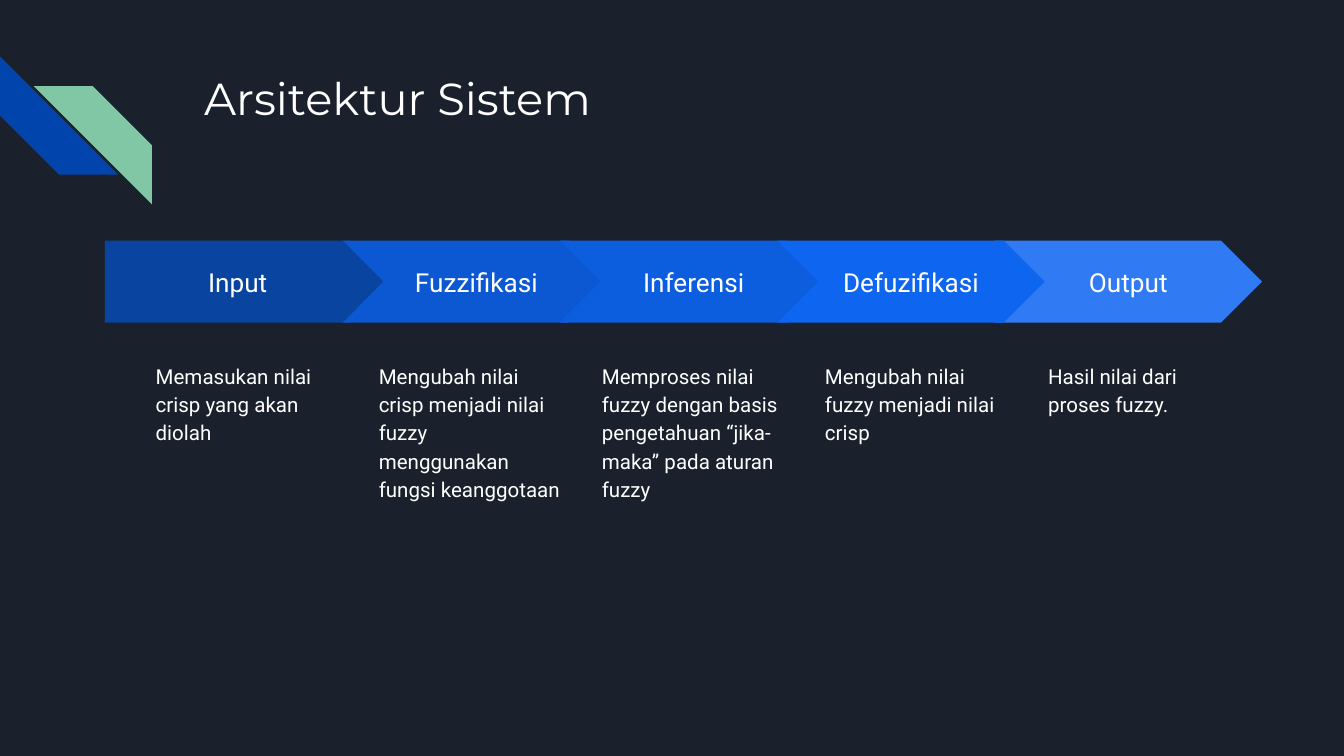
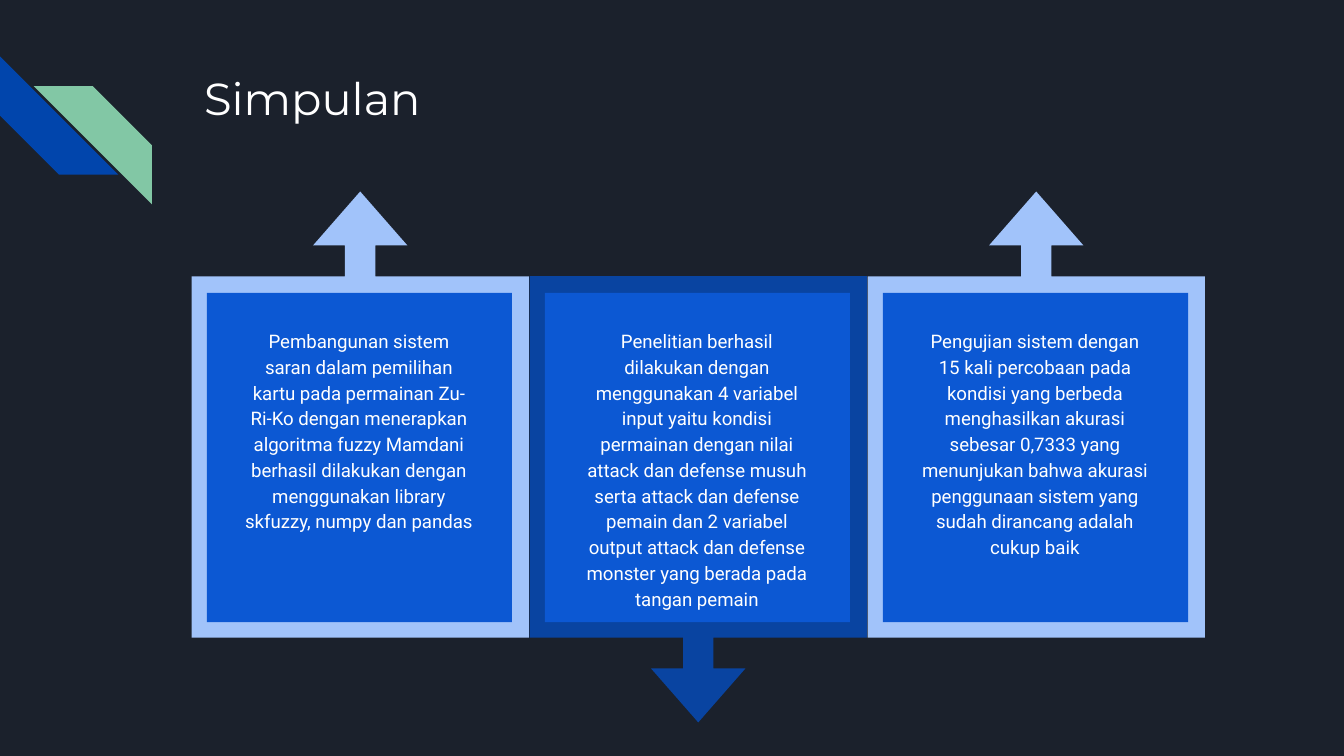
from dataclasses import dataclass

from pptx import Presentation
from pptx.dml.color import RGBColor
from pptx.enum.shapes import MSO_SHAPE
from pptx.enum.text import MSO_ANCHOR, PP_ALIGN
from pptx.presentation import Presentation as Deck
from pptx.shapes.autoshape import Shape
from pptx.slide import Slide
from pptx.util import Inches, Pt

STRIPE = MSO_SHAPE.DIAGONAL_STRIPE
PENTAGON = MSO_SHAPE.PENTAGON
CHEVRON = MSO_SHAPE.CHEVRON
CALLOUT = MSO_SHAPE.RIGHT_ARROW_CALLOUT
RECTANGLE = MSO_SHAPE.RECTANGLE
TOP, MIDDLE = MSO_ANCHOR.TOP, MSO_ANCHOR.MIDDLE
LEFT, CENTER = PP_ALIGN.LEFT, PP_ALIGN.CENTER

SLIDE_WIDTH = 10
SLIDE_HEIGHT = SLIDE_WIDTH * 9 / 16

BACKGROUND = "1B212C"
WHITE = "FFFFFF"
STRIPE_BLUE = "0145AC"
STRIPE_GREEN = "82C7A5"
DARK_BLUE = "0944A1"
BLUE = "0C58D3"
PALE_BLUE = "A1C3FA"


@dataclass(frozen=True)
class Box:
    left: float
    top: float
    width: float
    height: float

    def lengths(self) -> tuple[int, ...]:
        return tuple(Inches(value) for value in (self.left, self.top, self.width, self.height))


@dataclass(frozen=True)
class TextStyle:
    size: float
    font: str = "Roboto"
    alignment: PP_ALIGN = LEFT
    anchor: MSO_ANCHOR = TOP
    line_spacing: float = 1.0
    space_after: float = 0


@dataclass(frozen=True)
class Step:
    column: int
    label: str
    color: str
    description: str


@dataclass(frozen=True)
class Conclusion:
    text: str
    frame_color: str
    points_up: bool


TITLE_STYLE = TextStyle(24, font="Montserrat")
LABEL_STYLE = TextStyle(14, alignment=CENTER, anchor=MIDDLE)
DESCRIPTION_STYLE = TextStyle(11, line_spacing=1.15)
CONCLUSION_STYLE = TextStyle(10, alignment=CENTER, line_spacing=1.15, space_after=16)

STEPS = (
    Step(0, "Input", DARK_BLUE, "Memasukan nilai crisp yang akan diolah"),
    Step(1, "Fuzzifikasi", BLUE,
         "Mengubah nilai crisp menjadi nilai fuzzy menggunakan fungsi keanggotaan"),
    Step(2, "Inferensi", "0D5DDF",
         "Memproses nilai fuzzy dengan basis pengetahuan “jika-maka” pada aturan fuzzy"),
    Step(4, "Output", "307BF3", "Hasil nilai dari proses fuzzy."),
    Step(3, "Defuzifikasi", "0E65F0", "Mengubah nilai fuzzy menjadi nilai crisp"),
)

CONCLUSIONS = (
    Conclusion(
        "Pembangunan sistem saran dalam pemilihan kartu pada permainan Zu-Ri-Ko dengan "
        "menerapkan algoritma fuzzy Mamdani berhasil dilakukan dengan menggunakan library "
        "skfuzzy, numpy dan pandas", PALE_BLUE, True),
    Conclusion(
        "Penelitian berhasil dilakukan dengan menggunakan 4 variabel input yaitu kondisi "
        "permainan dengan nilai attack dan defense musuh serta attack dan defense pemain dan "
        "2 variabel output attack dan defense monster yang berada pada tangan pemain",
        DARK_BLUE, False),
    Conclusion(
        "Pengujian sistem dengan 15 kali percobaan pada kondisi yang berbeda menghasilkan "
        "akurasi sebesar 0,7333 yang menunjukan bahwa akurasi penggunaan sistem yang sudah "
        "dirancang adalah cukup baik", PALE_BLUE, True),
)


def rgb(color: str) -> RGBColor:
    return RGBColor.from_string(color)


def write_text(shape: Shape, text: str, style: TextStyle) -> None:
    frame = shape.text_frame
    frame.word_wrap = True
    frame.vertical_anchor = style.anchor
    frame.margin_left = frame.margin_right = Inches(0.1)
    frame.margin_top = frame.margin_bottom = Inches(0.1)
    paragraph = frame.paragraphs[0]
    paragraph.text = text
    paragraph.alignment = style.alignment
    paragraph.line_spacing = style.line_spacing
    paragraph.space_after = Pt(style.space_after)
    paragraph.font.name = style.font
    paragraph.font.size = Pt(style.size)
    paragraph.font.color.rgb = rgb(WHITE)


def add_text(slide: Slide, box: Box, text: str, style: TextStyle) -> None:
    write_text(slide.shapes.add_textbox(*box.lengths()), text, style)


def add_filled_shape(slide: Slide, kind: MSO_SHAPE, box: Box, color: str,
                     rotation: float = 0) -> Shape:
    shape = slide.shapes.add_shape(kind, *box.lengths())
    shape.shadow.inherit = False
    shape.fill.solid()
    shape.fill.fore_color.rgb = rgb(color)
    shape.line.fill.background()
    shape.rotation = rotation
    return shape


def add_titled_slide(presentation: Deck, title: str) -> Slide:
    slide = presentation.slides.add_slide(presentation.slide_layouts[6])
    slide.background.fill.solid()
    slide.background.fill.fore_color.rgb = rgb(BACKGROUND)
    add_filled_shape(slide, STRIPE, Box(0, 0.42, 0.88, 0.88), STRIPE_BLUE, 270)
    add_filled_shape(slide, STRIPE, Box(0.25, 0.64, 0.88, 0.88), STRIPE_GREEN, 90)
    add_text(slide, Box(1.42, 0.43, 7.7, 1), title, TITLE_STYLE)
    return slide


def add_step(slide: Slide, step: Step) -> None:
    if step.column == 0:
        kind, box = PENTAGON, Box(0.78, 1.79, 2.13, 0.61)
    else:
        left = 2.55 + (step.column - 1) * (7.4 - 2.55) / 3
        kind, box = CHEVRON, Box(left, 1.79, 1.99, 0.61)
    arrow = add_filled_shape(slide, kind, box, step.color)
    write_text(arrow, step.label, LABEL_STYLE)
    add_text(slide, Box(1.06 + 1.66 * step.column, 2.58, 1.56, 2.15),
             step.description, DESCRIPTION_STYLE)


def add_conclusion(slide: Slide, column: int, conclusion: Conclusion) -> None:
    left = 1.54 + column * (6.57 - 1.54) / 2
    top, rotation = (1.83, 270) if conclusion.points_up else (2.46, 90)
    callout = add_filled_shape(slide, CALLOUT, Box(left - 0.52, top, 3.32, 2.51),
                               conclusion.frame_color, rotation)
    for index, value in enumerate((0.09, 0.14, 0.16, 0.81)):
        callout.adjustments[index] = value
    add_filled_shape(slide, RECTANGLE, Box(left, 2.18, 2.27, 2.45), BLUE)
    add_text(slide, Box(left + 0.18, 2.33, 1.9, 2.04), conclusion.text, CONCLUSION_STYLE)


def main() -> None:
    presentation = Presentation()
    presentation.slide_width = Inches(SLIDE_WIDTH)
    presentation.slide_height = Inches(SLIDE_HEIGHT)

    architecture = add_titled_slide(presentation, "Arsitektur Sistem")
    for step in STEPS:
        add_step(architecture, step)

    summary = add_titled_slide(presentation, "Simpulan")
    for column, conclusion in enumerate(CONCLUSIONS):
        add_conclusion(summary, column, conclusion)

    presentation.save("out.pptx")


if __name__ == "__main__":
    main()
